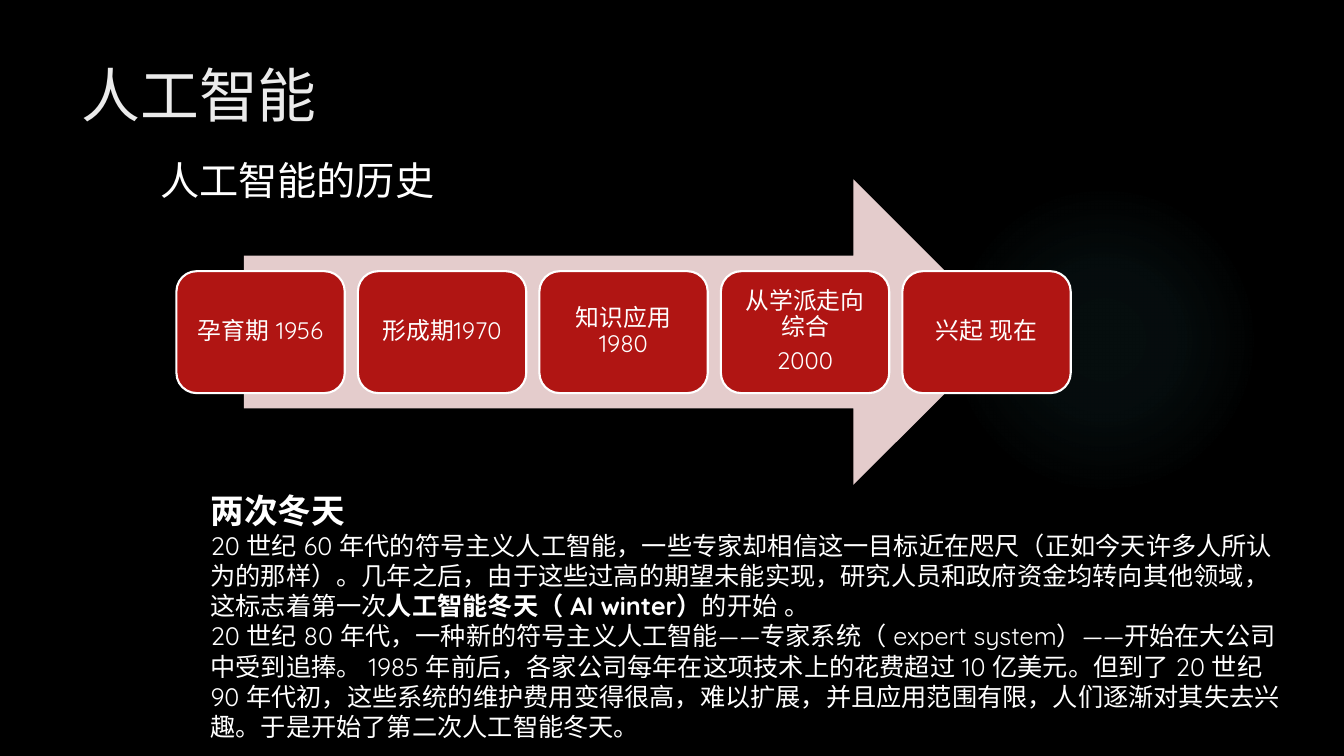
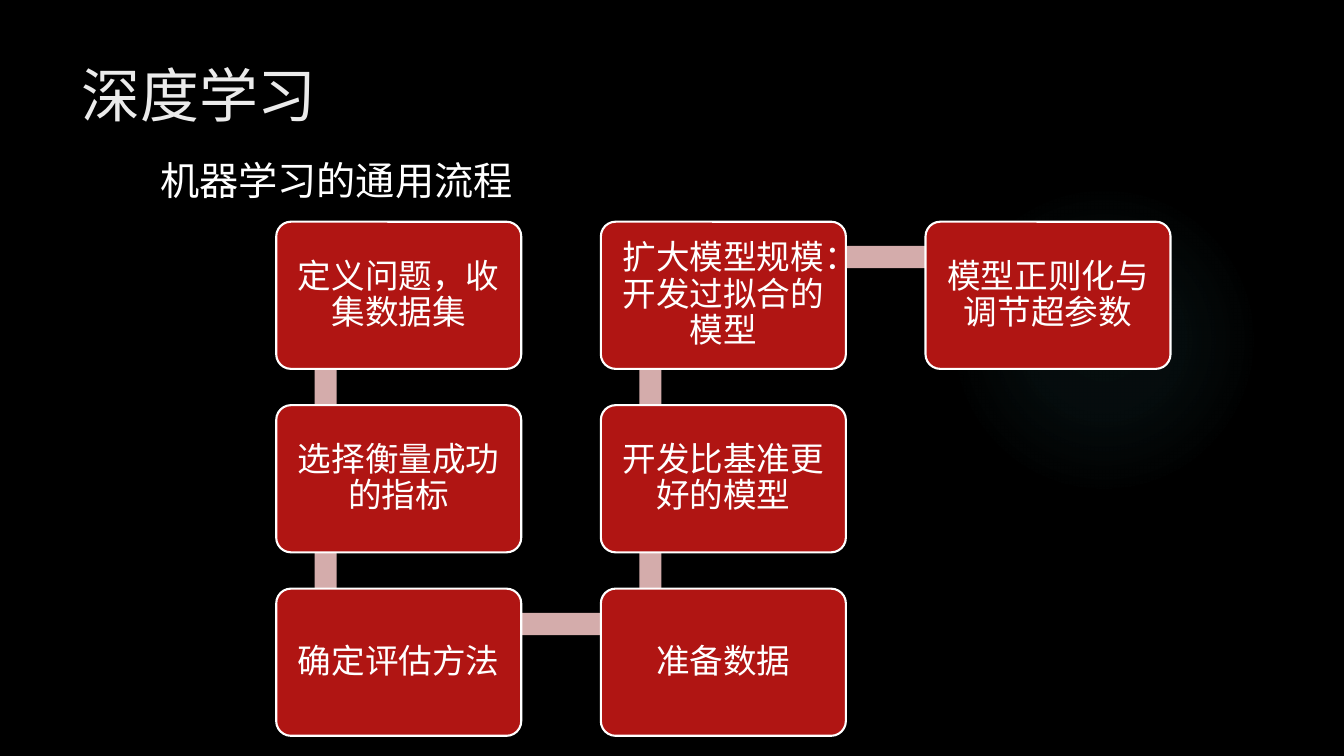
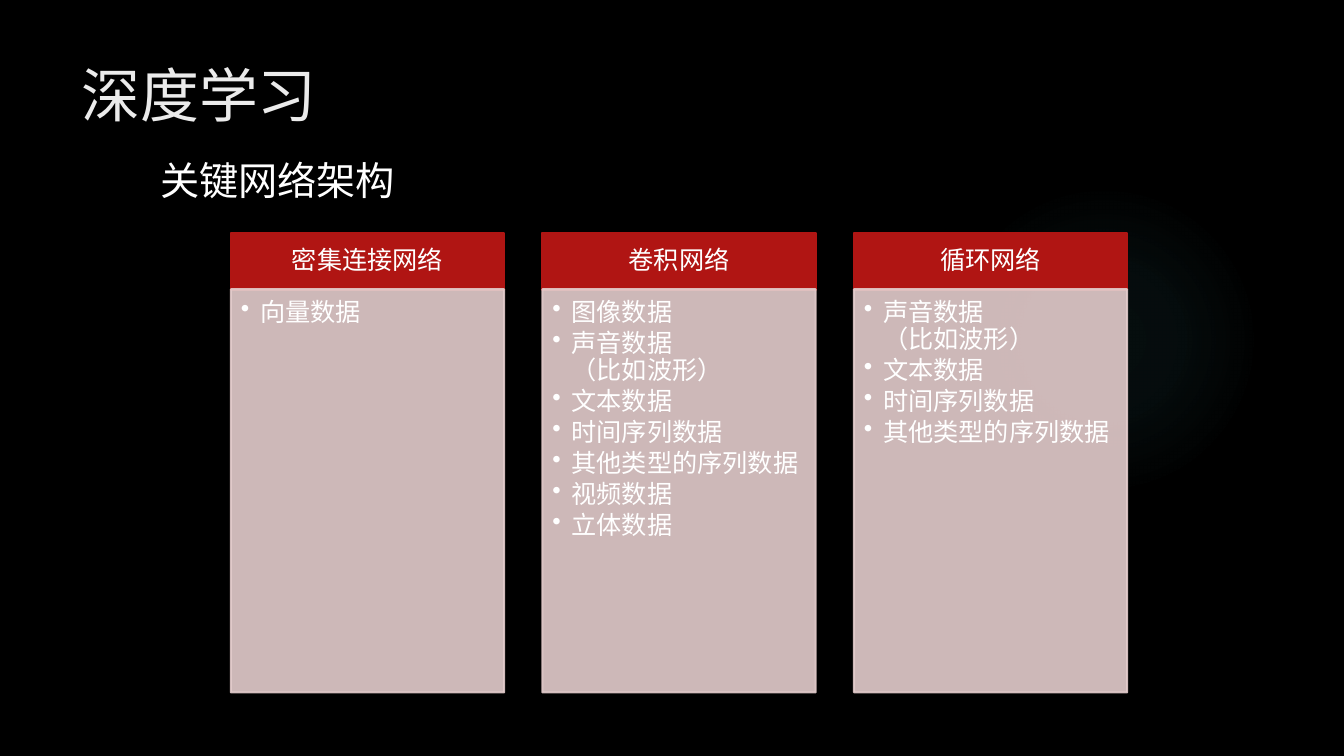
from dataclasses import dataclass
from typing import Any

from lxml.etree import SubElement
from pptx import Presentation
from pptx.dml.color import RGBColor
from pptx.enum.shapes import MSO_SHAPE
from pptx.enum.text import MSO_ANCHOR, PP_ALIGN
from pptx.oxml.ns import qn
from pptx.util import Inches, Pt

HUES = {
    "back": "000000",
    "title": "EBEBEB",
    "text": "FFFFFF",
    "red": "B01513",
    "pale": "E4CCCC",
    "bar": "D4ACAB",
    "glow": "50B9C1",
}
SANS = "Noto Sans CJK SC"
ROUND = "Quicksand"
SIDES = ("left", "top", "right", "bottom")
GLOW = ((0, 7), (36, 6), (69, 0))


@dataclass(frozen=True)
class Box:
    left: float
    top: float
    width: float
    height: float

    def span(self) -> list[int]:
        return [Inches(n) for n in (self.left, self.top, self.width, self.height)]


@dataclass(frozen=True)
class Style:
    size: float
    font: str = ROUND
    hue: str = "text"
    align: Any = PP_ALIGN.LEFT
    anchor: Any = MSO_ANCHOR.TOP
    line: float = 1.0
    after: float = 0
    inset: tuple[float, ...] = (0.1, 0.05, 0.1, 0.05)
    bullet: bool = False


@dataclass(frozen=True)
class Bit:
    text: str
    bold: bool = False
    size: float = 0
    font: str = ""


@dataclass(frozen=True)
class Net:
    name: str
    items: tuple[str, ...]


MID = {"align": PP_ALIGN.CENTER, "anchor": MSO_ANCHOR.MIDDLE, "line": 0.9, "after": 0.35}
TITLE = Style(42, SANS, "title", anchor=MSO_ANCHOR.MIDDLE)
HEAD = Style(28)
BODY = Style(18)
ERA = Style(17, inset=(0.07,) * 4, **MID)
STEP = Style(24, inset=(0.1,) * 4, **MID)
CAP = Style(18, inset=(0.14, 0.08, 0.14, 0.08), **MID)
LIST = Style(18, line=0.9, after=0.15, inset=(0.1, 0.1, 0.14, 0.16), bullet=True)

ERAS = ("孕育期 1956", "形成期1970", "知识应用1980", "从学派走向综合\n2000", "兴起 现在")
STORY = (
    (Bit("两次冬天", True, 24, "Lato"),),
    (
        Bit("20 世纪 60 年代的符号主义人工智能，一些专家却相信这一目标近在咫尺（正如今天许多人所认为的那样）。"
            "几年之后，由于这些过高的期望未能实现，研究人员和政府资金均转向其他领域，这标志着第一次"),
        Bit("人工智能冬天（ AI winter）", True),
        Bit("的开始 。"),
    ),
    (
        Bit("20 世纪 80 年代，一种新的符号主义人工智能——专家系统（ expert system）——开始在大公司中受到追捧。 "
            "1985 年前后，各家公司每年在这项技术上的花费超过 10 亿美元。但到了 20 世纪 90 年代初，"
            "这些系统的维护费用变得很高，难以扩展，并且应用范围有限，人们逐渐对其失去兴趣。"
            "于是开始了第二次人工智能冬天。"),
    ),
)
STEPS = (
    "定义问题，收集数据集",
    "选择衡量成功的指标",
    "确定评估方法",
    "准备数据",
    "开发比基准更好的模型",
    "扩大模型规模：开发过拟合的模型",
    "模型正则化与调节超参数",
)
SOUND = "声音数据\v（比如波形）"
SERIES = ("文本数据", "时间序列数据", "其他类型的序列数据")
NETS = (
    Net("密集连接网络", ("向量数据",)),
    Net("卷积网络", ("图像数据", SOUND, *SERIES, "视频数据", "立体数据")),
    Net("循环网络", (SOUND, *SERIES)),
)


def tint(name: str) -> RGBColor:
    return RGBColor.from_string(HUES[name])


def apply(thing: Any, values: dict[str, Any]) -> None:
    for key, value in values.items():
        setattr(thing, key, value)


def plain(text: str) -> list[tuple[Bit, ...]]:
    return [(Bit(part),) for part in text.split("\n")]


def add_bit(par: Any, text: str, bit: Bit, style: Style) -> None:
    run = par.add_run()
    run.text = text
    face = bit.font or style.font
    apply(run.font, {"name": face, "size": Pt(bit.size or style.size), "bold": bit.bold})
    run.font.color.rgb = tint(style.hue)
    props = run.font._element
    props.set("lang", "zh-CN")
    SubElement(props, qn("a:ea")).set("typeface", face)


def write(shape: Any, pars: Any, style: Style) -> None:
    frame = shape.text_frame
    apply(frame, {"word_wrap": True, "vertical_anchor": style.anchor})
    apply(frame, {f"margin_{side}": Inches(n) for side, n in zip(SIDES, style.inset)})
    for index, bits in enumerate(pars):
        par = frame.add_paragraph() if index else frame.paragraphs[0]
        apply(par, {"alignment": style.align, "line_spacing": style.line,
                    "space_after": Pt(style.after * style.size)})
        if style.bullet:
            props = par._p.get_or_add_pPr()
            props.set("marL", str(Inches(0.19)))
            props.set("indent", str(-Inches(0.19)))
            SubElement(props, qn("a:buChar")).set("char", "•")
        for bit in bits:
            for part, text in enumerate(bit.text.split("\v")):
                if part:
                    par.add_line_break()
                add_bit(par, text, bit, style)


def label(slide: Any, box: Box, pars: Any, style: Style) -> None:
    write(slide.shapes.add_textbox(*box.span()), pars, style)


def block(slide: Any, kind: Any, box: Box, fill: str, line: str = "", alpha: int = 100) -> Any:
    shape = slide.shapes.add_shape(kind, *box.span())
    shape.shadow.inherit = False
    shape.fill.solid()
    shape.fill.fore_color.rgb = tint(fill)
    if line:
        shape.line.color.rgb = tint(line)
        shape.line.width = Pt(1.5)
    else:
        shape.line.fill.background()
    if alpha < 100:
        for node in shape.element.spPr.iter(qn("a:srgbClr")):
            SubElement(node, qn("a:alpha")).set("val", str(alpha * 1000))
    return shape


def add_glow(slide: Any) -> None:
    shape = block(slide, MSO_SHAPE.OVAL, Box(9.41, 1.83, 3.08, 3.08), "glow")
    props = shape.element.spPr
    grad = SubElement(props, qn("a:gradFill"))
    stops = SubElement(grad, qn("a:gsLst"))
    for place, alpha in GLOW:
        stop = SubElement(stops, qn("a:gs"), pos=str(place * 1000))
        node = SubElement(stop, qn("a:srgbClr"), val=HUES["glow"])
        SubElement(node, qn("a:alpha"), val=str(alpha * 1000))
    route = SubElement(grad, qn("a:path"), path="circle")
    SubElement(route, qn("a:fillToRect"), l="50000", t="50000", r="50000", b="50000")
    props.replace(props.find(qn("a:solidFill")), grad)


def add_page(deck: Any, title: str, head: str) -> Any:
    slide = deck.slides.add_slide(deck.slide_layouts[6])
    add_glow(slide)
    label(slide, Box(0.71, 0.5, 10.29, 0.87), plain(title), TITLE)
    label(slide, Box(1.49, 1.5, 8.32, 0.57), plain(head), HEAD)
    return slide


def draw_eras(slide: Any) -> None:
    block(slide, MSO_SHAPE.RIGHT_ARROW, Box(2.42, 1.78, 7.56, 3.03), "pale")
    for index, era in enumerate(ERAS):
        box = Box(1.75 + 1.8 * index, 2.69, 1.67, 1.21)
        write(block(slide, MSO_SHAPE.ROUNDED_RECTANGLE, box, "red", "text"), plain(era), ERA)
    label(slide, Box(1.99, 4.81, 10.9, 2.63), STORY, BODY)


def draw_steps(slide: Any) -> None:
    rows, wide, high = 3, 3.22, 1.82
    spots = []
    for index in range(len(STEPS)):
        col, row = divmod(index, rows)
        if col % 2:
            row = rows - 1 - row
        spots.append((2.74 + wide * col, 2.2 + high * row))
    for (left, top), (right, low) in zip(spots, spots[1:]):
        if left == right:
            bar = Box(left + 0.38, min(top, low) + 0.35, 0.22, high)
        else:
            bar = Box(left + 0.49, top + 0.24, wide, 0.22)
        block(slide, MSO_SHAPE.RECTANGLE, bar, "bar")
    for (left, top), step in zip(spots, STEPS):
        shape = block(slide, MSO_SHAPE.ROUNDED_RECTANGLE, Box(left, top, 2.43, 1.46), "red", "text")
        shape.adjustments[0] = 0.1
        write(shape, plain(step), STEP)


def draw_nets(slide: Any) -> None:
    for index, net in enumerate(NETS):
        left = 2.29 + 3.09 * index
        cap = block(slide, MSO_SHAPE.RECTANGLE, Box(left, 2.31, 2.71, 0.57), "red", "red")
        write(cap, plain(net.name), CAP)
        panel = block(slide, MSO_SHAPE.RECTANGLE, Box(left, 2.87, 2.71, 4), "pale", "pale", 90)
        write(panel, plain("\n".join(net.items)), LIST)


def main() -> None:
    deck = Presentation()
    apply(deck, {"slide_width": Inches(13.33), "slide_height": Inches(7.5)})
    back = deck.slide_master.background.fill
    back.solid()
    back.fore_color.rgb = tint("back")
    draw_eras(add_page(deck, "人工智能", "人工智能的历史"))
    draw_steps(add_page(deck, "深度学习", "机器学习的通用流程"))
    draw_nets(add_page(deck, "深度学习", "关键网络架构"))
    deck.save("out.pptx")


if __name__ == "__main__":
    main()
